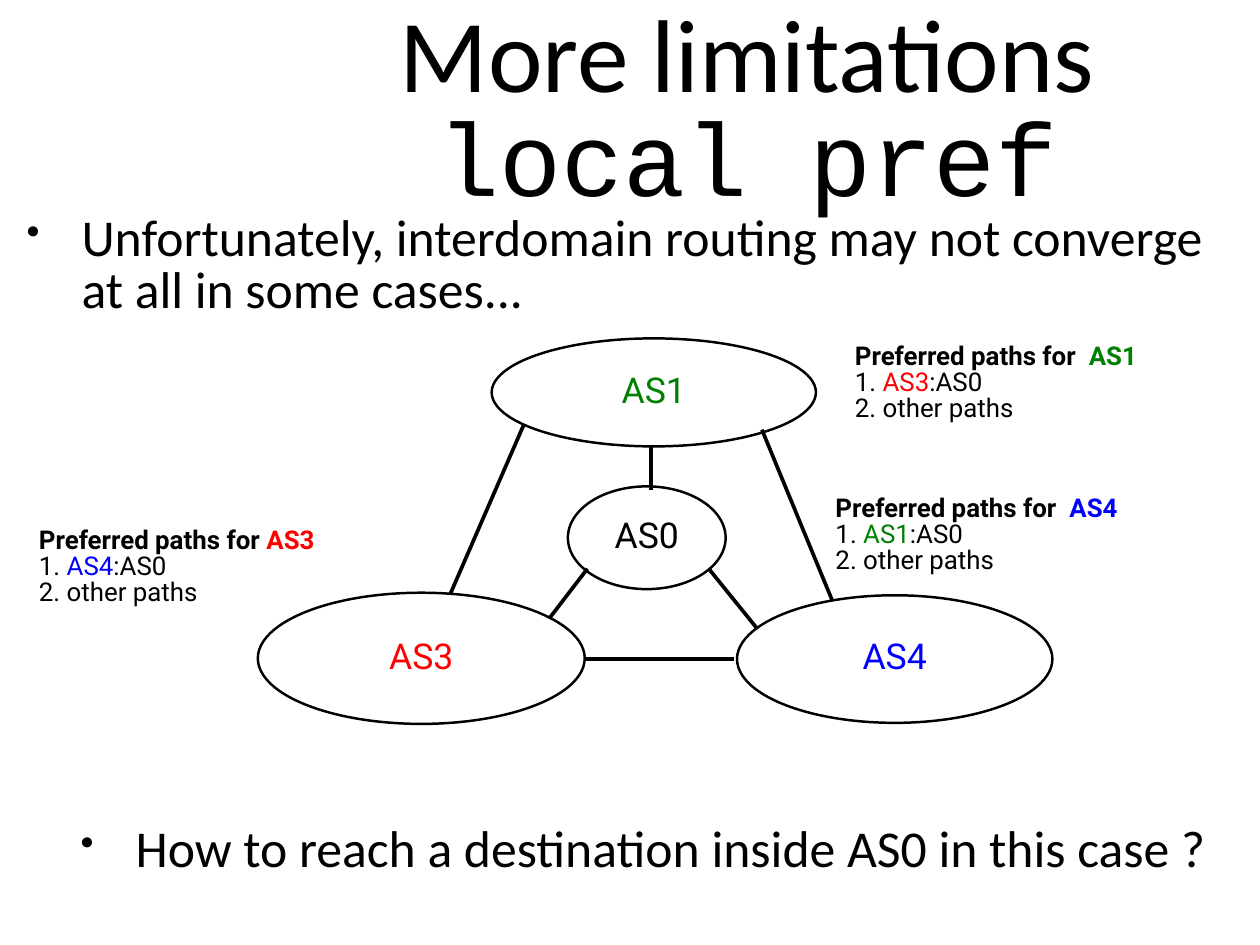
from dataclasses import dataclass
from typing import Any

from lxml import etree
from pptx import Presentation
from pptx import util as u
from pptx.dml.color import RGBColor
from pptx.enum import shapes, text
from pptx.oxml import ns

BLACK = RGBColor(0, 0, 0)
GREEN = RGBColor(0, 128, 0)
RED = RGBColor(255, 0, 0)
BLUE = RGBColor(0, 0, 255)
HUES = {"AS0": BLACK, "AS1": GREEN, "AS3": RED, "AS4": BLUE}
TIGHT = 0.84


@dataclass
class Box:
    left: float
    top: float
    width: float
    height: float

    def frame(self) -> list[u.Length]:
        return [u.Pt(n) for n in (self.left, self.top, self.width, self.height)]


@dataclass
class Node:
    name: str
    box: Box


@dataclass
class Link:
    start: tuple[float, float]
    end: tuple[float, float]


@dataclass
class Note:
    name: str
    via: str
    gap: str
    left: float
    top: float


@dataclass
class Point:
    words: str
    indent: float
    box: Box


TITLE = Box(255.6, 29.5, 703.4, 124.6)
POINTS = [
    Point("Unfortunately, interdomain routing may not converge at all in some cases...",
          49, Box(17.3, 174.7, 974, 88)),
    Point("How to reach a destination inside AS0 in this case ?",
          92.9, Box(17.3, 671.2, 974, 45)),
]
NODES = [
    Node("AS1", Box(399.6, 275, 263.5, 87.8)),
    Node("AS3", Box(209.5, 481.7, 265.7, 106.6)),
    Node("AS4", Box(599, 483.8, 256.3, 103.7)),
    Node("AS0", Box(461.5, 395.3, 128.2, 83.5)),
]
LINKS = [
    Link((475.9, 535.7), (596.9, 535.7)),
    Link((365.8, 483.1), (425.5, 345.6)),
    Link((676.1, 487.4), (619.2, 349.2)),
    Link((615.6, 511.2), (576, 462.2)),
    Link((529.2, 398.2), (529.2, 362.9)),
    Link((446.4, 502.6), (477.4, 462.2)),
]
NOTES = [
    Note("AS3", "AS4", " ", 31.7, 429.8),
    Note("AS4", "AS1", "  ", 679, 403.9),
    Note("AS1", "AS3", "  ", 694.8, 280.1),
]


def apply(item: Any, form: dict[str, Any]) -> None:
    for key, value in form.items():
        setattr(item, key, value)


def setup(shape: Any, anchor: Any, inset: float = 0) -> Any:
    """Prepare the text frame of a shape and return it."""
    frame = shape.text_frame
    sides = ("left", "top", "right", "bottom")
    apply(frame, {f"margin_{side}": u.Pt(inset) for side in sides})
    apply(frame, {"word_wrap": True, "vertical_anchor": anchor})
    return frame


def write(para: Any, words: str, face: str, size: float,
          hue: RGBColor = BLACK, bold: bool = False) -> None:
    para.line_spacing = TIGHT
    run = para.add_run()
    run.text = words
    apply(run.font, {"name": face, "size": u.Pt(size), "bold": bold})
    run.font.color.rgb = hue


def bullet(para: Any, indent: float) -> None:
    props = para._p.get_or_add_pPr()
    props.set("marL", str(u.Pt(indent)))
    props.set("indent", str(u.Pt(-44.6)))
    for tag, key, value in (("buSzPct", "val", "75000"), ("buChar", "char", "•")):
        etree.SubElement(props, ns.qn(f"a:{tag}")).set(key, value)


def draw_title(slide: Any) -> None:
    shape = slide.shapes.add_textbox(*TITLE.frame())
    para = setup(shape, text.MSO_ANCHOR.MIDDLE, 4.3).paragraphs[0]
    para.alignment = text.PP_ALIGN.CENTER
    write(para, "More limitations", "Calibri", 84)
    write(para, " local pref", "Courier New", 84)


def draw_point(slide: Any, point: Point) -> None:
    shape = slide.shapes.add_textbox(*point.box.frame())
    para = setup(shape, text.MSO_ANCHOR.TOP).paragraphs[0]
    bullet(para, point.indent)
    write(para, point.words, "Calibri", 42)


def draw_node(slide: Any, node: Node) -> None:
    shape = slide.shapes.add_shape(shapes.MSO_SHAPE.OVAL, *node.box.frame())
    shape.shadow.inherit = False
    shape.fill.background()
    shape.line.color.rgb = BLACK
    shape.line.width = u.Pt(2)
    para = setup(shape, text.MSO_ANCHOR.MIDDLE).paragraphs[0]
    para.alignment = text.PP_ALIGN.CENTER
    write(para, node.name, "Roboto", 28.9, HUES[node.name])


def draw_link(slide: Any, link: Link) -> None:
    ends = [u.Pt(n) for n in link.start + link.end]
    line = slide.shapes.add_connector(shapes.MSO_CONNECTOR.STRAIGHT, *ends)
    line.line.color.rgb = BLACK
    line.line.width = u.Pt(3)
    etree.SubElement(line._element.spPr, ns.qn("a:effectLst"))


def draw_note(slide: Any, note: Note) -> None:
    box = Box(note.left, note.top, 260, 64.8)
    frame = setup(slide.shapes.add_textbox(*box.frame()), text.MSO_ANCHOR.TOP)
    head, first, other = frame.paragraphs[0], frame.add_paragraph(), frame.add_paragraph()
    for para, words, hue, bold in (
        (head, "Preferred paths for" + note.gap, BLACK, True),
        (head, note.name, HUES[note.name], True),
        (first, "1. ", BLACK, False),
        (first, note.via, HUES[note.via], False),
        (first, ":AS0", BLACK, False),
        (other, "2. other paths", BLACK, False),
    ):
        write(para, words, "Roboto", 21, hue, bold)


def main() -> None:
    deck = Presentation()
    apply(deck, {"slide_width": u.Pt(1024), "slide_height": u.Pt(768)})
    slide = deck.slides.add_slide(deck.slide_layouts[6])
    draw_title(slide)
    for draw, items in ((draw_point, POINTS), (draw_node, NODES),
                        (draw_link, LINKS), (draw_note, NOTES)):
        for item in items:
            draw(slide, item)
    deck.save("out.pptx")


if __name__ == "__main__":
    main()
